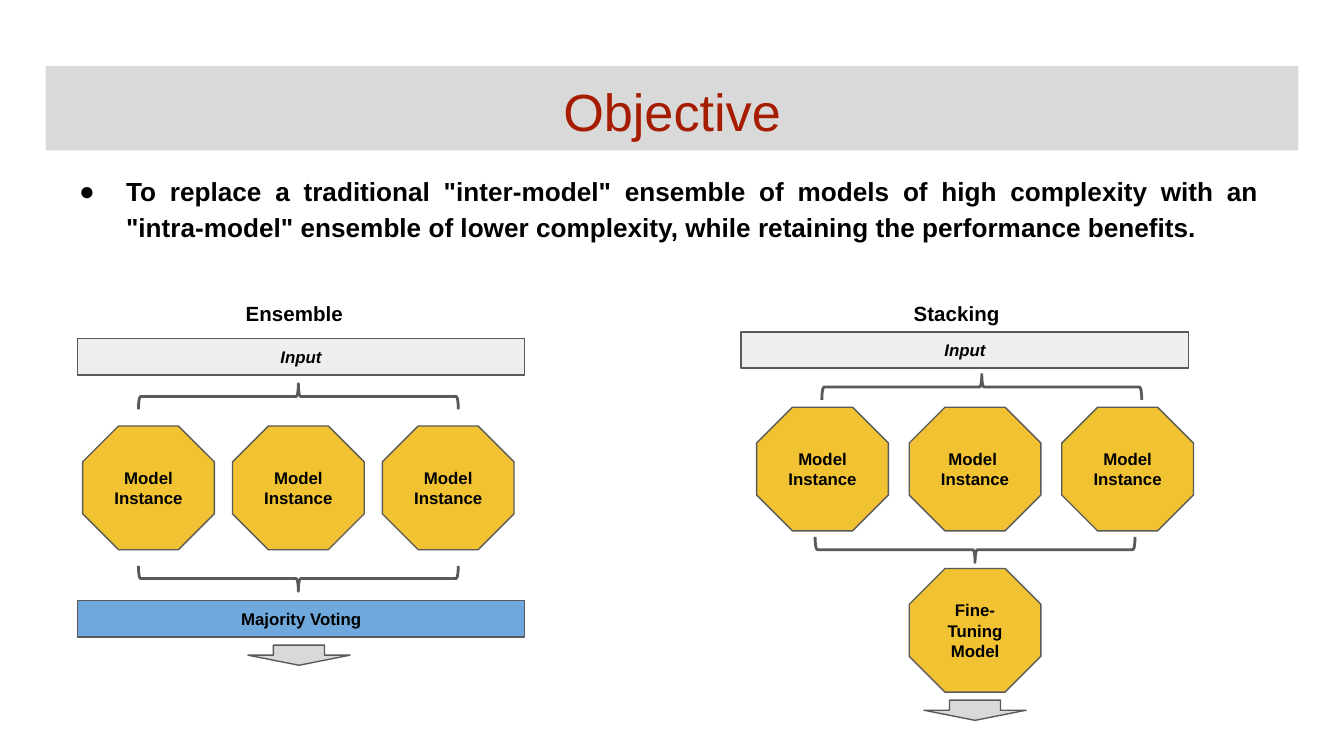
from dataclasses import dataclass

from lxml.etree import SubElement
from pptx import Presentation
from pptx.dml.color import RGBColor
from pptx.enum.shapes import MSO_SHAPE
from pptx.enum.text import MSO_ANCHOR, PP_ALIGN
from pptx.oxml.ns import qn
from pptx.util import Inches, Pt


@dataclass(frozen=True)
class Theme:
    font: str = "Arial"
    ink: str = "000000"
    title_ink: str = "A61C00"
    outline: str = "595959"
    band: str = "D9D9D9"
    input_fill: str = "EEEEEE"
    voting_fill: str = "6FA8DC"
    model_fill: str = "F1C232"
    title_size: float = 28
    body_size: float = 14
    heading_size: float = 11
    label_size: float = 9
    thin: float = 0.75
    thick: float = 1.5


@dataclass(frozen=True)
class Box:
    left: float
    top: float
    width: float
    height: float

    def inside(self, column, row, width, height):
        return Box(self.left + column, self.top + row, width, height)

    def lengths(self):
        return [round(value * GRID_UNIT) for value in (self.left, self.top, self.width, self.height)]


THEME = Theme()
SLIDE_WIDTH = Inches(10)
SLIDE_HEIGHT = SLIDE_WIDTH * 9 // 16
GRID_UNIT = SLIDE_WIDTH / 100

BAR = (33.3, 2.7)
BRACE = (23.8, 1.9)
MODEL = (9.8, 9.2)
ARROW = (7.6, 1.5)
HEADING = (14.1, 2.7)


def write_text(shape, text, size, color=THEME.ink, bold=True, italic=False,
               alignment=PP_ALIGN.CENTER, anchor=MSO_ANCHOR.MIDDLE):
    frame = shape.text_frame
    frame.word_wrap = True
    frame.vertical_anchor = anchor
    frame.margin_left = frame.margin_right = Inches(0.1)
    frame.margin_top = frame.margin_bottom = Inches(0.1)
    frame.text = text
    for paragraph in frame.paragraphs:
        paragraph.alignment = alignment
        for run in paragraph.runs:
            run.font.name = THEME.font
            run.font.size = Pt(size)
            run.font.bold = bold
            run.font.italic = italic
            run.font.color.rgb = RGBColor.from_string(color)


def add_shape(slide, kind, box, fill=None, line_width=THEME.thin):
    shape = slide.shapes.add_shape(kind, *box.lengths())
    shape.shadow.inherit = False
    if fill:
        shape.fill.solid()
        shape.fill.fore_color.rgb = RGBColor.from_string(fill)
    else:
        shape.fill.background()
    if line_width:
        shape.line.color.rgb = RGBColor.from_string(THEME.outline)
        shape.line.width = Pt(line_width)
    else:
        shape.line.fill.background()
    return shape


def add_bar(slide, box, text, fill, italic=False):
    bar = add_shape(slide, MSO_SHAPE.RECTANGLE, box, fill)
    write_text(bar, text, THEME.label_size, italic=italic)


def add_model(slide, box, text):
    model = add_shape(slide, MSO_SHAPE.OCTAGON, box, THEME.model_fill)
    model.adjustments[0] = 0.29
    write_text(model, text, THEME.label_size)


def add_brace(slide, box, rotation):
    upright = box.inside((box.width - box.height) / 2, (box.height - box.width) / 2,
                         box.height, box.width)
    brace = add_shape(slide, MSO_SHAPE.LEFT_BRACE, upright, line_width=THEME.thick)
    brace.adjustments[0] = 0.08
    brace.rotation = rotation


def add_arrow(slide, box):
    add_shape(slide, MSO_SHAPE.DOWN_ARROW, box, THEME.band)


def add_heading(slide, box, text):
    heading = slide.shapes.add_textbox(*box.lengths())
    write_text(heading, text, THEME.heading_size,
               alignment=PP_ALIGN.LEFT, anchor=MSO_ANCHOR.TOP)


def add_model_row(slide, box, pitch, labels):
    for index, label in enumerate(labels):
        add_model(slide, box.inside(index * pitch, 0, *MODEL), label)


def add_title(slide, box):
    title = add_shape(slide, MSO_SHAPE.RECTANGLE, box, THEME.band, line_width=None)
    write_text(title, "Objective", THEME.title_size, THEME.title_ink,
               bold=False, anchor=MSO_ANCHOR.TOP)


def add_objective(slide, box):
    objective = slide.shapes.add_textbox(*box.lengths())
    write_text(objective,
               'To replace a traditional "inter-model" ensemble of models of high complexity '
               'with an "intra-model" ensemble of lower complexity, while retaining the '
               'performance benefits.',
               THEME.body_size, alignment=PP_ALIGN.JUSTIFY, anchor=MSO_ANCHOR.TOP)
    paragraph = objective.text_frame.paragraphs[0]
    paragraph.line_spacing = 1.15
    properties = paragraph._p.get_or_add_pPr()
    properties.set("marL", str(Inches(0.5)))
    properties.set("indent", str(Inches(-0.35)))
    bullet_color = SubElement(properties, qn("a:buClr"))
    SubElement(bullet_color, qn("a:srgbClr"), val=THEME.ink)
    SubElement(properties, qn("a:buFont"), typeface=THEME.font)
    SubElement(properties, qn("a:buChar"), char="●")


def add_ensemble(slide, box):
    add_heading(slide, box.inside(11.55, 0.05, *HEADING), "Ensemble")
    add_bar(slide, box.inside(0, 3.8, *BAR), "Input", THEME.input_fill, italic=True)
    add_brace(slide, box.inside(4.55, 7.15, *BRACE), 90)
    add_model_row(slide, box.inside(0.4, 10.3, 32.1, 9.2), 11.15, ["Model Instance"] * 3)
    add_brace(slide, box.inside(4.55, 20.7, *BRACE), 270)
    add_bar(slide, box.inside(0, 23.3, *BAR), "Majority Voting", THEME.voting_fill)
    add_arrow(slide, box.inside(12.7, 26.6, *ARROW))


def add_stacking(slide, box):
    add_heading(slide, box.inside(11.85, 0.1, *HEADING), "Stacking")
    add_bar(slide, box.inside(0, 3.3, *BAR), "Input", THEME.input_fill, italic=True)
    add_brace(slide, box.inside(6, 6.45, *BRACE), 90)
    add_model_row(slide, box.inside(1.15, 8.9, 32.5, 9.2), 11.35,
                  ["Model Instance", "Model \nInstance", "Model Instance"])
    add_brace(slide, box.inside(5.5, 18.55, *BRACE), 270)
    add_model(slide, box.inside(12.5, 20.9, *MODEL), "Fine-\nTuning Model")
    add_arrow(slide, box.inside(13.6, 30.7, *ARROW))


def main():
    presentation = Presentation()
    presentation.slide_width = SLIDE_WIDTH
    presentation.slide_height = SLIDE_HEIGHT
    slide = presentation.slides.add_slide(presentation.slide_layouts[6])
    add_title(slide, Box(3.4, 4.9, 93.2, 6.3))
    add_objective(slide, Box(3.4, 11.7, 91.3, 9.2))
    add_ensemble(slide, Box(5.75, 21.4, 33.3, 28.1))
    add_stacking(slide, Box(55.15, 21.4, 33.6, 32.2))
    presentation.save("out.pptx")


if __name__ == "__main__":
    main()
